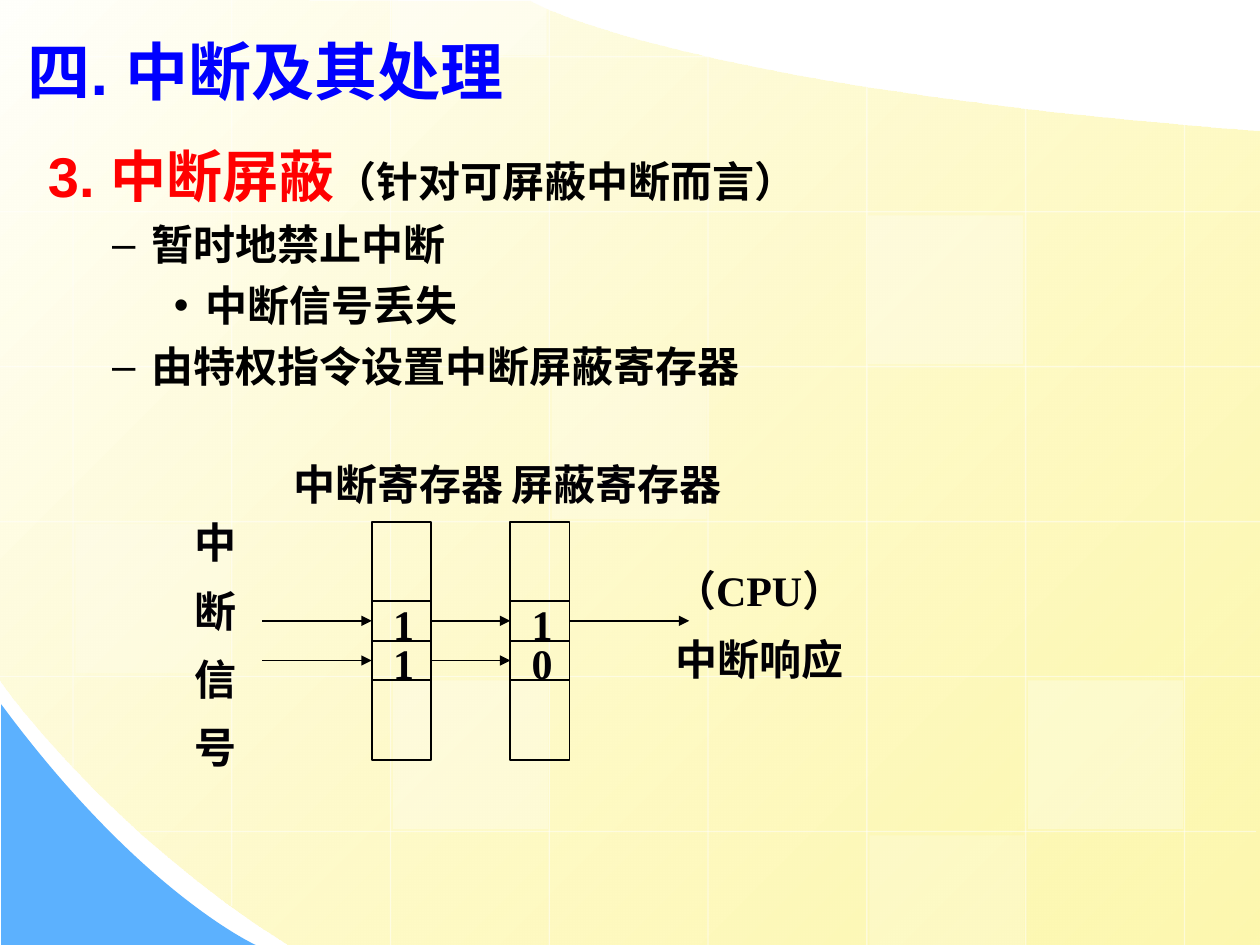
import pptx
import pptx.dml.color
import pptx.enum.shapes
import pptx.enum.text
import pptx.oxml
import pptx.oxml.ns
import pptx.util
from typing import NamedTuple

Inches = pptx.util.Inches
Pt = pptx.util.Pt
Anchor = pptx.enum.text.MSO_ANCHOR
Align = pptx.enum.text.PP_ALIGN
Fit = pptx.enum.text.MSO_AUTO_SIZE
INK = "010004"


class Tile(NamedTuple):
    x: float
    y: float
    w: float
    h: float
    alpha: int


class Item(NamedTuple):
    level: int
    margin: float
    indent: float
    bullet: str
    runs: list


class Label(NamedTuple):
    x: float
    y: float
    w: float
    h: float
    lines: list
    wrap: bool = False
    align: Align = Align.LEFT


class Reg(NamedTuple):
    x: float
    bits: str


def paint(color, value: str) -> None:
    color.rgb = pptx.dml.color.RGBColor.from_string(value)


def make_xml(tag: str):
    return pptx.oxml.parse_xml(f"<a:{tag} {pptx.oxml.ns.nsdecls('a')}/>")


def fade(node, alpha: int) -> None:
    """Set the opacity, in percent, of every colour below a node."""
    for hue in node.iter(pptx.oxml.ns.qn("a:srgbClr")):
        hue.append(make_xml(f'alpha val="{alpha * 1000}"'))


def draw_line(x1: float, y1: float, x2: float, y2: float, color: str = "000000",
              width: float = 1, alpha: int = 100, arrow: bool = False):
    kind = pptx.enum.shapes.MSO_CONNECTOR.STRAIGHT
    line = shapes.add_connector(kind, *map(Inches, (x1, y1, x2, y2)))
    paint(line.line.color, color)
    line.line.width = Pt(width)
    if alpha < 100:
        fade(line.element, alpha)
    if arrow:
        line.line._get_or_add_ln().append(make_xml('tailEnd type="triangle"'))
    line.element.spPr.append(make_xml("effectLst"))
    return line


def draw_rect(x: float, y: float, w: float, h: float):
    kind = pptx.enum.shapes.MSO_SHAPE.RECTANGLE
    rect = shapes.add_shape(kind, *map(Inches, (x, y, w, h)))
    rect.shadow.inherit = False
    return rect


def draw_area(start: tuple, parts: list):
    """Closed outline; a part of one point is a line, of three a cubic curve."""
    dots = [(Inches(x), Inches(y)) for part in parts for x, y in part]
    pen = shapes.build_freeform(*map(Inches, start))
    pen.add_line_segments(dots, close=True)
    area = pen.convert_to_shape()
    steps = iter(list(area.element.iter(pptx.oxml.ns.qn("a:lnTo"))))
    for part in parts:
        group = [next(steps) for _ in part]
        if len(group) == 3:
            bend = make_xml("cubicBezTo")
            group[0].addprevious(bend)
            for step in group:
                bend.append(step[0])
                step.getparent().remove(step)
    area.shadow.inherit = False
    area.line.fill.background()
    return area


def add_run(para, text: str, size: int, color: str, face: str) -> None:
    run = para.add_run()
    run.text = text
    run.font.size = Pt(size)
    run.font.bold = True
    run.font.name = face
    paint(run.font.color, color)


def draw_label(label: Label) -> None:
    box = shapes.add_textbox(*map(Inches, label[:4]))
    frame = box.text_frame
    frame.word_wrap = label.wrap
    frame.auto_size = Fit.SHAPE_TO_FIT_TEXT
    frame.vertical_anchor = Anchor.MIDDLE
    frame.margin_left = frame.margin_right = 0
    frame.margin_top = frame.margin_bottom = Inches(0.01)
    for i, text in enumerate(label.lines):
        para = frame.add_paragraph() if i else frame.paragraphs[0]
        para.alignment = label.align
        para.line_spacing = 1.15
        if i:
            para.space_before = Pt(6)
        add_run(para, text, 24, INK, "Times New Roman")


def place(holder, x: float, y: float, w: float, h: float):
    """Move a placeholder in front of the backdrop and return its text frame."""
    holder.left, holder.top, holder.width, holder.height = map(Inches, (x, y, w, h))
    shapes.element.append(holder.element)
    frame = holder.text_frame
    frame.word_wrap = True
    frame.auto_size = Fit.NONE
    frame.vertical_anchor = Anchor.TOP
    return frame


deck = pptx.Presentation()
deck.slide_width, deck.slide_height = Inches(10), Inches(7.5)
slide = deck.slides.add_slide(deck.slide_layouts[1])
shapes = slide.shapes

# Backdrop: yellow field and blue corner
field = draw_area((10, 1.04), [[(10, 7.5)], [(2.3, 7.5)],
                               [(0.86, 6.61), (-0.01, 5.39), (0, 5.39)],
                               [(-0.01, -0.01)], [(4.21, 0.01)],
                               [(4.21, 0.01), (5.37, 0.69), (10, 1.04)]])
field.fill.gradient()
field.fill.gradient_angle = 315
first, last = field.fill.gradient_stops
paint(first.color, "FFFFFB")
paint(last.color, "FDF58D")
fade(last._gs, 70)
corner = draw_area((0.01, 5.59), [[(0.01, 7.5)], [(2.03, 7.5)],
                                  [(2.03, 7.5), (1.12, 7.09), (0.01, 5.59)]])
corner.fill.solid()
paint(corner.fill.fore_color, "5CB1FE")

# Backdrop: grid lines and pale tiles
tops = [0, 0, 0, 0, 0.43, 0.68, 0.85, 0.98]
ends = [6.09, 7.19, 7.5] + [7.52] * 5
for i, (top, end) in enumerate(zip(tops, ends)):
    draw_line(0.58 + 1.26 * i, top, 0.58 + 1.26 * i, end, "FFFFFF", 0.75, 50)
for i, (left, right) in enumerate([(0, 5.68)] + [(0, 10.01)] * 4 + [(1.11, 9.97)]):
    y = 0.45 + 1.23 * i
    draw_line(right, y, left, y, "FFFFFF", 0.75, 50)
for tile in [Tile(4.38, 2.94, 1.23, 1.18, 25), Tile(8.16, 5.4, 1.23, 1.18, 30),
             Tile(0.6, 4.16, 1.23, 1.18, 20), Tile(6.9, 6.63, 1.23, 0.87, 20),
             Tile(3.11, 0, 1.23, 0.44, 40), Tile(3.12, 5.4, 1.23, 1.18, 30),
             Tile(6.89, 1.71, 1.23, 1.18, 30)]:
    rect = draw_rect(*tile[:4])
    rect.fill.solid()
    paint(rect.fill.fore_color, "FFFFFF")
    fade(rect.element, tile.alpha)
    rect.line.fill.background()

# Title
para = place(shapes.title, 0.12, 0.28, 5.37, 0.64).paragraphs[0]
para.alignment = Align.LEFT
para.line_spacing = 0.9
add_run(para, "四. 中断及其处理", 36, "0000FF", "Arial")

# Body list
frame = place(slide.placeholders[1], 0.28, 0.99, 8.5, 3.12)
items = [
    Item(0, 0.58, -0.58, "", [("3. 中断屏蔽", 32, "FF0000"),
                              ("（针对可屏蔽中断而言）", 24, "000000")]),
    Item(1, 0.82, -0.31, "–", [("暂时地禁止中断", 24, "000000")]),
    Item(2, 1.25, -0.25, "•", [("中断信号丢失", 24, "000000")]),
    Item(1, 0.82, -0.31, "–", [("由特权指令设置中断屏蔽寄存器", 24, "000000")]),
]
for i, item in enumerate(items):
    para = frame.add_paragraph() if i else frame.paragraphs[0]
    para.level = item.level
    props = para._p.get_or_add_pPr()
    props.set("marL", str(Inches(item.margin)))
    props.set("indent", str(Inches(item.indent)))
    props.append(make_xml(f'buChar char="{item.bullet}"' if item.bullet else "buNone"))
    para.line_spacing = 1.0 if i else 1.15
    para.space_before = Pt(6 if i else 0)
    for text, size, color in item.runs:
        add_run(para, text, size, color, "Arial")

# Registers: six units tall, with the two bits in the middle units
TOP, UNIT, WIDE = 4.14, 0.315, 0.47
rows = [TOP + UNIT * 2.5, TOP + UNIT * 3.5]
for reg in [Reg(2.95, "11"), Reg(4.05, "10")]:
    rect = draw_rect(reg.x, TOP, WIDE, UNIT * 6)
    rect.fill.background()
    paint(rect.line.color, "000000")
    rect.line.width = Pt(1)
    for n in (2, 3, 4):
        y = TOP + UNIT * n
        line = draw_line(reg.x, y, reg.x + WIDE, y)
        if n == 3:
            line.begin_connect(rect, 1)
            line.end_connect(rect, 3)
    for bit, y in zip(reg.bits, rows):
        draw_label(Label(reg.x + 0.17, y - 0.25, 0.2, 0.48, [bit], True))

# Signal arrows
for left, right, count in [(2.08, 2.95, 2), (3.42, 4.05, 2), (4.52, 5.47, 1)]:
    for y in rows[:count]:
        draw_line(left, y, right, y, arrow=True)

# Labels
for label in [Label(2.33, 3.57, 1.67, 0.48, ["中断寄存器"]),
              Label(4.06, 3.57, 1.67, 0.48, ["屏蔽寄存器"]),
              Label(5.12, 4.41, 1.81, 1.03, ["（CPU）", "中断响应"], align=Align.CENTER),
              Label(1.54, 4.03, 0.33, 2.11, list("中断信号"))]:
    draw_label(label)

deck.save("out.pptx")
